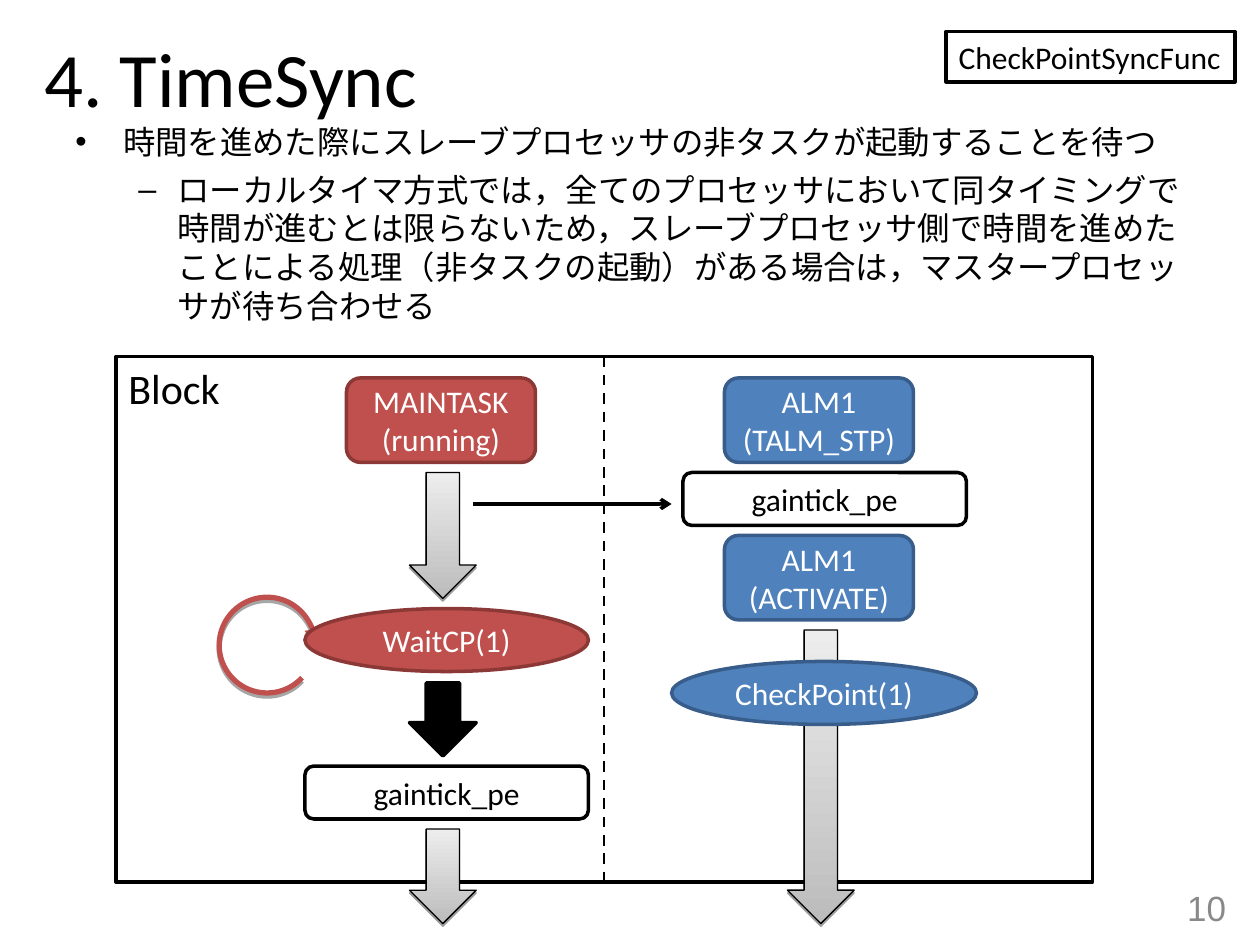
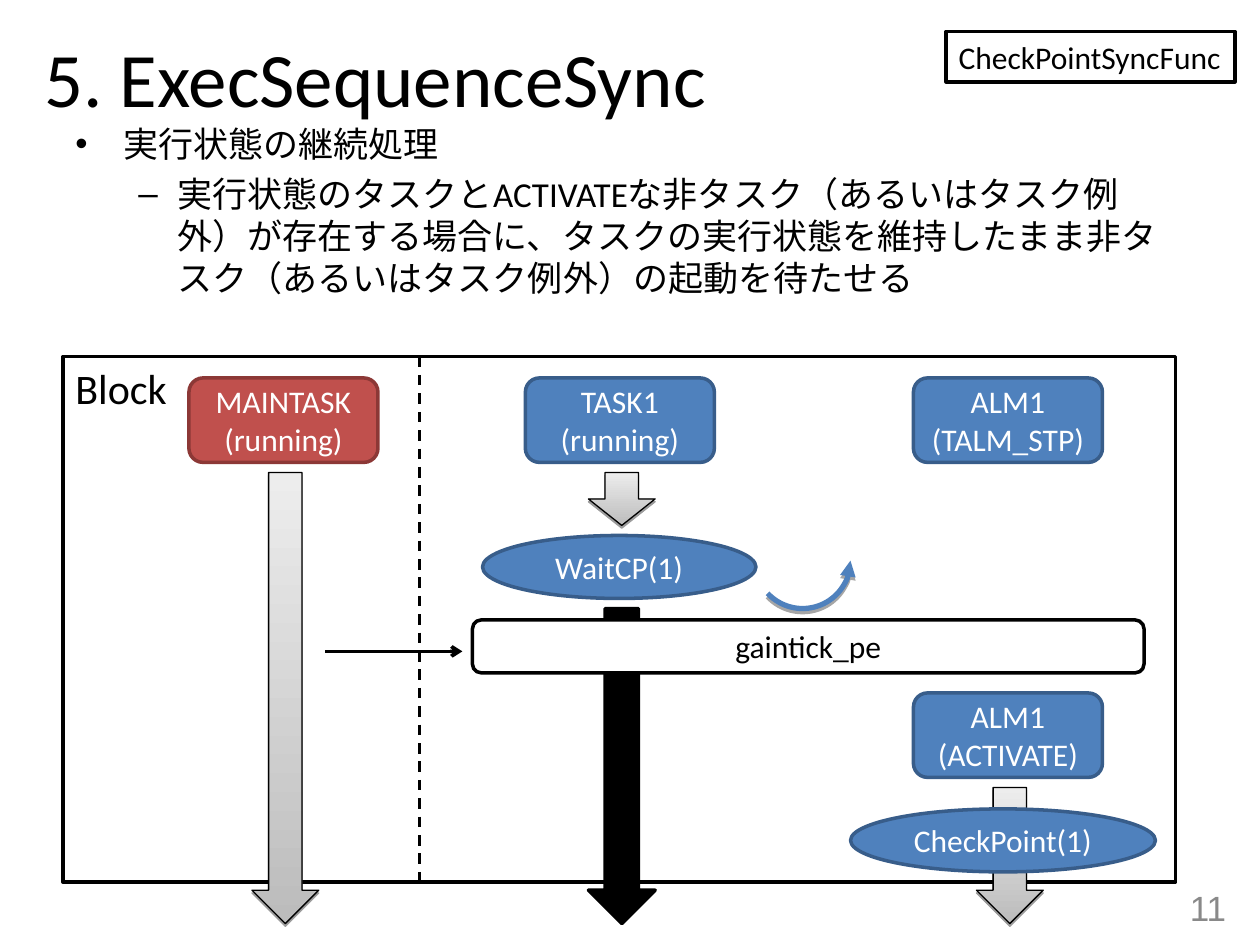
from dataclasses import dataclass

from lxml import etree
from pptx import Presentation
from pptx.dml.color import RGBColor
from pptx.enum.dml import MSO_LINE
from pptx.enum.lang import MSO_LANGUAGE_ID
from pptx.enum.shapes import MSO_CONNECTOR, MSO_SHAPE
from pptx.enum.text import MSO_ANCHOR, MSO_AUTO_SIZE, PP_ALIGN
from pptx.oxml.ns import qn
from pptx.util import Inches, Pt

RECT, ROUND = MSO_SHAPE.RECTANGLE, MSO_SHAPE.ROUNDED_RECTANGLE
OVAL, DOWN, ARC = MSO_SHAPE.OVAL, MSO_SHAPE.DOWN_ARROW, MSO_SHAPE.ARC
LEFT, CENTER, RIGHT = PP_ALIGN.LEFT, PP_ALIGN.CENTER, PP_ALIGN.RIGHT
TOP, MIDDLE = MSO_ANCHOR.TOP, MSO_ANCHOR.MIDDLE
STRAIGHT, DASH = MSO_CONNECTOR.STRAIGHT, MSO_LINE.DASH
FIT, FIXED = MSO_AUTO_SIZE.SHAPE_TO_FIT_TEXT, MSO_AUTO_SIZE.NONE
JAPANESE = MSO_LANGUAGE_ID.JAPANESE


@dataclass(frozen=True)
class Theme:
    """Colours, fonts and type sizes of the deck."""
    ink: str = "000000"
    paper: str = "FFFFFF"
    gray: str = "898989"
    dark: str = "BCBCBC"
    light: str = "EDEDED"
    red: tuple = ("C0504D", "8C3836", "FFFFFF")
    blue: tuple = ("4F81BD", "385D8A", "FFFFFF")
    plain: tuple = ("FFFFFF", "000000", "000000")
    black: tuple = ("000000", "000000", "FFFFFF")
    font: str = "Calibri"
    digit: str = "Arial"
    title: float = 44
    block: float = 24
    page: float = 20
    label: float = 18


THEME = Theme()


def rgb(code):
    """Turn a hex code into a colour."""
    return RGBColor.from_string(code)


def inches(*sizes):
    """Turn numbers into lengths."""
    return [Inches(size) for size in sizes]


def add_run(para, text, size, color=THEME.ink, font=THEME.font):
    """Add one formatted run to a paragraph."""
    run = para.add_run()
    run.text = text
    run.font.size, run.font.name = Pt(size), font
    run.font.color.rgb = rgb(color)
    return run


def write(shape, lines, size, color=THEME.ink, align=LEFT, anchor=TOP,
          font=THEME.font):
    """Fill a shape with one paragraph per line."""
    frame = shape.text_frame
    frame.word_wrap, frame.vertical_anchor = True, anchor
    for i, line in enumerate(lines):
        para = frame.add_paragraph() if i else frame.paragraphs[0]
        para.alignment = align
        add_run(para, line, size, color, font)
    return frame


def add_shade(shape, alpha, dist):
    """Cast a sharp shadow straight down."""
    shade = etree.SubElement(
        shape.element.spPr.find(qn("a:effectLst")), qn("a:outerShdw"),
        blurRad="0", dist=str(Pt(dist)), dir="5400000", rotWithShape="0")
    color = etree.SubElement(shade, qn("a:srgbClr"), val=THEME.ink)
    etree.SubElement(color, qn("a:alpha"), val=str(alpha * 1000))


def add_tip(item, end, kind):
    """Put an arrowhead on one end of a line."""
    etree.SubElement(item.line._get_or_add_ln(), qn("a:" + end), type=kind)


def add_form(slide, kind, box, paint, width=2):
    """Add a preset shape with its fill and outline."""
    shape = slide.shapes.add_shape(kind, *inches(*box))
    shape.shadow.inherit = False
    shape.fill.solid()
    shape.fill.fore_color.rgb = rgb(paint[0])
    shape.line.color.rgb = rgb(paint[1])
    shape.line.width = Pt(width)
    return shape


def add_head(slide, title, page):
    """Set the title, the badge and the page number."""
    head = slide.shapes.title
    head.left, head.top, head.width, head.height = inches(0.25, 0.17, 9, 0.87)
    write(head, [title], THEME.title, anchor=MIDDLE).auto_size = FIXED
    badge = add_form(slide, RECT, (7.51, 0.25, 2.29, 0.4), THEME.plain)
    frame = write(badge, ["CheckPointSyncFunc"], THEME.label)
    frame.word_wrap, frame.auto_size = False, FIT
    foot = slide.shapes.add_textbox(*inches(7.5, 7, 2.33, 0.4))
    write(foot, [page], THEME.page, THEME.gray, RIGHT, MIDDLE, THEME.digit)


def add_body(slide, box, size, lines):
    """Write the two bullet levels."""
    frame = slide.shapes.add_textbox(*inches(*box)).text_frame
    frame.word_wrap = True
    levels = (("•", 0.38, -0.38), ("–", 0.81, -0.31))
    for i, (line, (mark, margin, indent)) in enumerate(zip(lines, levels)):
        para = frame.add_paragraph() if i else frame.paragraphs[0]
        para.level = i
        if i:
            para.space_before = Pt(5)
        props = para._p.get_or_add_pPr()
        props.set("marL", str(Inches(margin)))
        props.set("indent", str(Inches(indent)))
        etree.SubElement(props, qn("a:buFont"), typeface=THEME.digit)
        etree.SubElement(props, qn("a:buChar"), char=mark)
        add_run(para, line, size).font.language_id = JAPANESE


class Block:
    """A framed flow whose parts are placed from its top left corner."""

    def __init__(self, slide, left, width):
        """Draw the frame and its name."""
        self.slide, self.left, self.top, self.high = slide, left, 2.83, 4.17
        self.frame = self.form(RECT, 0, 0, width, self.high, THEME.plain)
        write(self.frame, ["Block"], THEME.block)

    def form(self, kind, x, y, wide, high, paint, width=2):
        """Add a shape inside the block."""
        box = (self.left + x, self.top + y, wide, high)
        return add_form(self.slide, kind, box, paint, width)

    def node(self, kind, x, y, wide, high, paint, *lines):
        """Add a shape with a centred label."""
        shape = self.form(kind, x, y, wide, high, paint)
        write(shape, lines, THEME.label, paint[2], CENTER, MIDDLE)

    def task(self, mid, y, paint, name, state):
        """Add a task with its state, centred on a lane."""
        self.node(ROUND, mid - 0.75, y, 1.5, 0.67, paint, name, f"({state})")

    def point(self, x, y, wide, paint, name):
        """Add a sync point."""
        self.node(OVAL, x, y, wide, 0.5, paint, name)

    def tick(self, x, y, wide):
        """Add a tick call."""
        self.node(ROUND, x, y, wide, 0.42, THEME.plain, "gaintick_pe")

    def wait(self, mid, y, high):
        """Add a black arrow down a lane."""
        self.form(DOWN, mid - 0.25, y, 0.53, high, THEME.black)

    def flow(self, mid, y, high):
        """Add a shaded arrow down a lane."""
        arrow = self.form(DOWN, mid - 0.25, y, 0.53, high, THEME.plain, 0.75)
        arrow.fill.gradient()
        arrow.fill.gradient_angle = 90
        for stop, color in zip(arrow.fill.gradient_stops,
                               (THEME.dark, THEME.light)):
            stop.color.rgb = rgb(color)
        add_shade(arrow, 38, 1.6)

    def loop(self, x, y, color, start, stop, end):
        """Add a round arrow between two angles in degrees."""
        arc = self.form(ARC, x, y, 0.76, 0.76, (color, color), 3)
        arc.fill.background()
        for i, angle in enumerate((start, stop)):
            arc.adjustments[i] = (angle - 360 * (angle > 180)) * 0.6
        add_tip(arc, end, "triangle")
        add_shade(arc, 35, 1.8)

    def line(self, x1, y1, x2, y2, width):
        """Add a straight line."""
        ends = inches(self.left + x1, self.top + y1,
                      self.left + x2, self.top + y2)
        line = self.slide.shapes.add_connector(STRAIGHT, *ends)
        line.line.color.rgb, line.line.width = rgb(THEME.ink), Pt(width)
        etree.SubElement(line._element.spPr, qn("a:effectLst"))
        return line

    def split(self, x):
        """Add the dashed line between processors."""
        line = self.line(x, 0, x, self.high, 1.5)
        line.line.dash_style = DASH
        return line

    def call(self, x1, x2, y):
        """Add a thin arrow to the right."""
        add_tip(self.line(x1, y, x2, y, 2), "tailEnd", "arrow")


def draw_time(slide):
    """Build the time sync slide."""
    add_head(slide, "4. TimeSync", "10")
    add_body(slide, (0.5, 0.92, 9, 2), 18.5, (
        "時間を進めた際にスレーブプロセッサの非タスクが起動することを待つ",
        "ローカルタイマ方式では，全てのプロセッサにおいて同タイミングで"
        "時間が進むとは限らないため，スレーブプロセッサ側で時間を進めた"
        "ことによる処理（非タスクの起動）がある場合は，マスタープロセッ"
        "サが待ち合わせる"))
    block = Block(slide, 0.92, 7.75)
    main, alarm = 2.58, 5.58
    block.task(main, 0.17, THEME.red, "MAINTASK", "running")
    block.task(alarm, 0.17, THEME.blue, "ALM1", "TALM_STP")
    block.flow(main, 0.92, 1)
    block.flow(alarm, 2.17, 2.33)
    block.point(4.41, 2.42, 2.42, THEME.blue, "CheckPoint(1)")
    block.task(alarm, 1.42, THEME.blue, "ALM1", "ACTIVATE")
    block.loop(0.82, 1.91, THEME.red[0], 43, 330, "tailEnd")
    block.wait(main, 2.59, 0.58)
    block.point(1.5, 2, 2.25, THEME.red, "WaitCP(1)")
    line = block.split(3.88)
    line.begin_connect(block.frame, 0)
    line.end_connect(block.frame, 2)
    block.tick(4.5, 0.92, 2.25)
    block.tick(1.5, 3.25, 2.25)
    block.flow(main, 3.75, 0.75)
    block.call(2.83, 4.41, 1.17)


def draw_order(slide):
    """Build the execution order slide."""
    add_head(slide, "5. ExecSequenceSync", "11")
    add_body(slide, (0.5, 0.92, 8.92, 1.92), 20, (
        "実行状態の継続処理",
        "実行状態のタスクとACTIVATEな非タスク（あるいはタスク例"
        "外）が存在する場合に、タスクの実行状態を維持したまま非タ"
        "スク（あるいはタスク例外）の起動を待たせる"))
    block = Block(slide, 0.5, 8.83)
    main, task, alarm = 1.75, 4.42, 7.5
    block.task(task, 0.17, THEME.blue, "TASK1", "running")
    block.flow(task, 0.92, 0.42)
    block.point(3.33, 1.42, 2.17, THEME.blue, "WaitCP(1)")
    block.loop(5.49, 1.24, THEME.blue[0], 210, 137, "headEnd")
    block.wait(task, 2, 2.5)
    block.task(alarm, 0.17, THEME.blue, "ALM1", "TALM_STP")
    block.flow(alarm, 3.42, 1.08)
    block.task(alarm, 2.67, THEME.blue, "ALM1", "ACTIVATE")
    block.tick(3.25, 2.09, 5.33)
    block.task(main, 0.17, THEME.red, "MAINTASK", "running")
    block.flow(main, 0.92, 3.58)
    block.split(2.83)
    block.call(2.08, 3.17, 2.34)
    block.point(6.25, 3.59, 2.42, THEME.blue, "CheckPoint(1)")


def main():
    """Build and save the deck."""
    deck = Presentation()
    deck.slide_width, deck.slide_height = inches(10, 7.5)
    for draw in (draw_time, draw_order):
        draw(deck.slides.add_slide(deck.slide_layouts[5]))
    deck.save("out.pptx")


if __name__ == "__main__":
    main()
